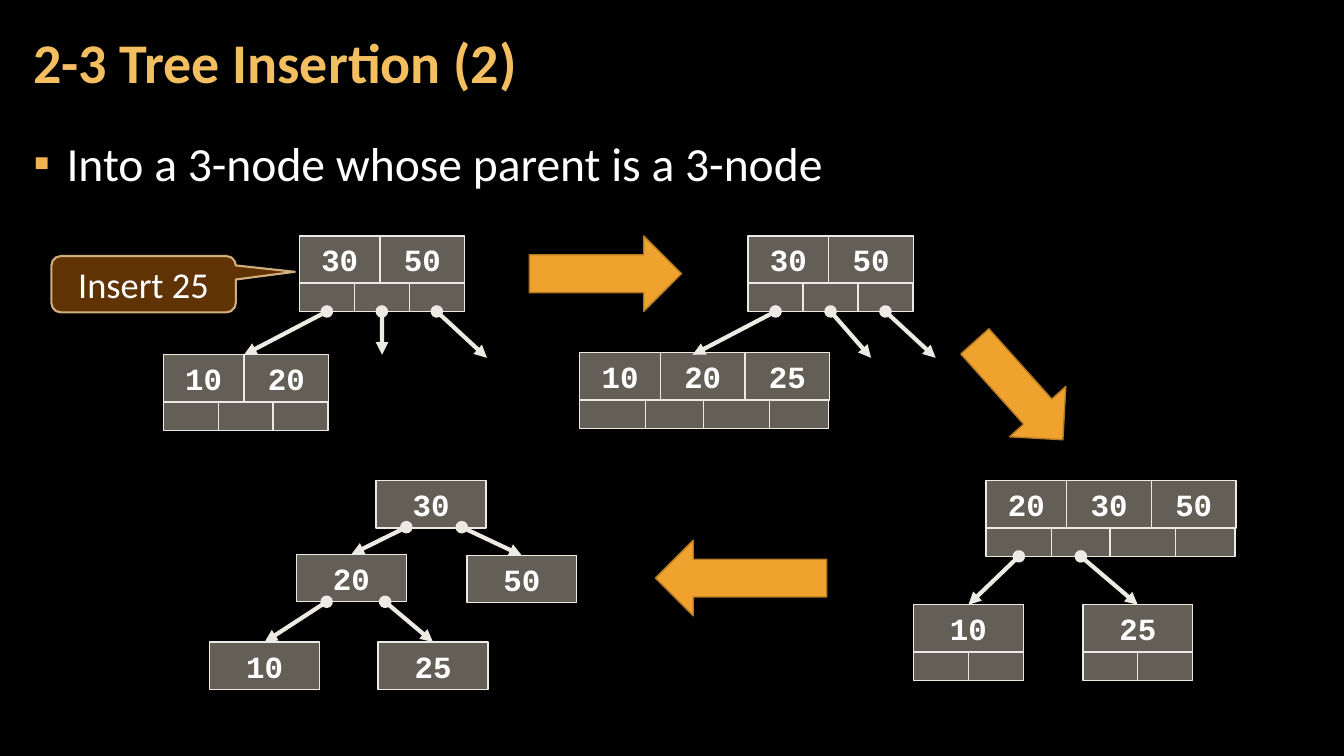
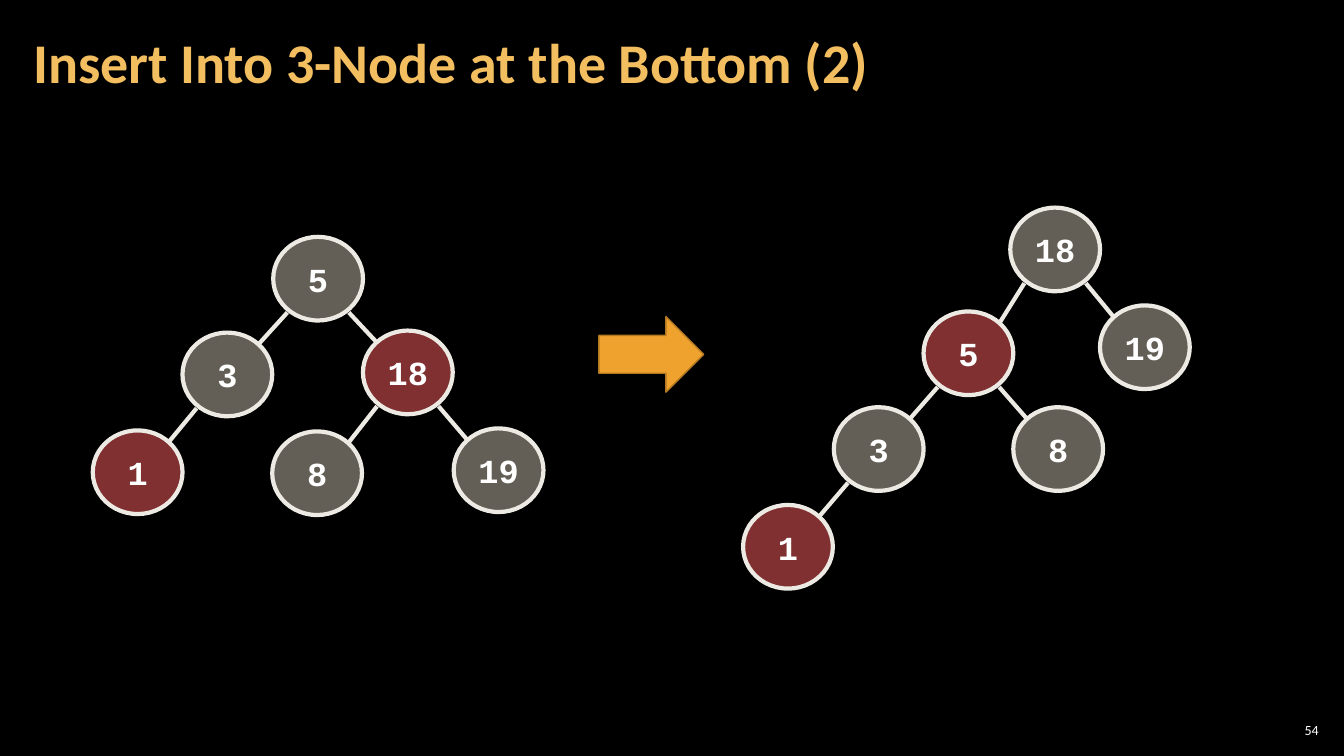
from dataclasses import dataclass
from itertools import accumulate
from typing import NamedTuple

from lxml import etree
from pptx import Presentation
from pptx.dml.color import RGBColor
from pptx.enum.shapes import MSO_CONNECTOR, MSO_SHAPE
from pptx.enum.text import MSO_ANCHOR, MSO_AUTO_SIZE, PP_ALIGN
from pptx.oxml.ns import qn
from pptx.util import Inches, Pt

STRAIGHT = MSO_CONNECTOR.STRAIGHT
RECTANGLE, ELLIPSE = MSO_SHAPE.RECTANGLE, MSO_SHAPE.OVAL
RIGHT_ARROW, CALLOUT = MSO_SHAPE.RIGHT_ARROW, MSO_SHAPE.ROUNDED_RECTANGULAR_CALLOUT
MIDDLE, TOP = MSO_ANCHOR.MIDDLE, MSO_ANCHOR.TOP
LEFT, CENTER, RIGHT = PP_ALIGN.LEFT, PP_ALIGN.CENTER, PP_ALIGN.RIGHT
TOP_SIDE, BOTTOM_SIDE = 0, 2


@dataclass(frozen=True)
class Theme:
    background: str = "000000"
    text: str = "FFFFFF"
    title: str = "F3BE60"
    bullet: str = "F2B254"
    node: str = "C7BFAC"
    red_node: str = "FF6161"
    outline: str = "ECEAE3"
    arrow: str = "F0A22E"
    arrow_line: str = "B27822"
    callout: str = "663606"
    callout_line: str = "F8D49E"
    font: str = "Calibri"
    key_font: str = "Courier New"
    title_size: int = 40
    body_size: int = 34
    callout_size: int = 26
    circle_size: int = 24
    key_size: int = 22
    number_size: int = 10


THEME = Theme()


class Point(NamedTuple):
    x: float
    y: float


class Area(NamedTuple):
    left: float
    top: float
    width: float
    height: float


class TreeNode(NamedTuple):
    left: float
    top: float
    keys: tuple[str, ...]
    has_links: bool = True


class Pointer(NamedTuple):
    """start is a (node, link) pair or a point; end is a node or a point."""
    start: tuple[str, int] | Point
    end: str | Point


class BlockArrow(NamedTuple):
    area: Area
    rotation: float = 0


class Circle(NamedTuple):
    left: float
    top: float
    key: str
    parent: str = ""
    is_red: bool = False


TITLE_AREA = Area(0.21, 0.04, 10.47, 1.21)
BODY_AREA = Area(0.21, 1.26, 12.91, 6.09)
NUMBER_AREA = Area(12.65, 7.14, 0.47, 0.21)

KEY_HEIGHT, LINK_HEIGHT = 0.47, 0.28
KEY_WIDTHS = {1: (1.09,), 2: (0.8, 0.84), 3: (0.8, 0.84, 0.84)}
LINK_WIDTHS = {1: (0.545,) * 2, 2: (0.545,) * 3, 3: (0.65, 0.58, 0.65, 0.59)}

CIRCLE_WIDTH, CIRCLE_HEIGHT = 0.89, 0.83
EDGE_INSET, EDGE_START, EDGE_END = 0.14, 0.75, 0.12

NODES = {
    "root before": TreeNode(2.97, 2.34, ("30", "50")),
    "leaf before": TreeNode(1.62, 3.52, ("10", "20")),
    "root kept": TreeNode(7.42, 2.34, ("30", "50")),
    "leaf overfull": TreeNode(5.75, 3.5, ("10", "20", "25")),
    "root overfull": TreeNode(9.78, 4.77, ("20", "30", "50")),
    "split left": TreeNode(9.06, 6, ("10",)),
    "split right": TreeNode(10.74, 6, ("25",)),
    "new root": TreeNode(3.73, 4.77, ("30",), False),
    "new left": TreeNode(2.94, 5.5, ("20",), False),
    "new right": TreeNode(4.63, 5.51, ("50",), False),
    "new leaf left": TreeNode(2.08, 6.37, ("10",), False),
    "new leaf right": TreeNode(3.75, 6.37, ("25",), False),
}
POINTERS = (
    Pointer(("root before", 0), Point(2.42, 3.52)),
    Pointer(("root before", 1), Point(3.79, 3.52)),
    Pointer(("root before", 2), Point(4.83, 3.55)),
    Pointer(("root kept", 0), Point(6.87, 3.52)),
    Pointer(("root kept", 1), Point(8.64, 3.55)),
    Pointer(("root kept", 2), Point(9.28, 3.55)),
    Pointer(("root overfull", 0), "split left"),
    Pointer(("root overfull", 1), "split right"),
    Pointer(Point(4.03, 5.23), "new left"),
    Pointer(Point(4.58, 5.23), "new right"),
    Pointer(Point(3.24, 5.97), "new leaf left"),
    Pointer(Point(3.82, 5.97), "new leaf right"),
)
INSERTION_ARROWS = (
    BlockArrow(Area(5.25, 2.34, 1.51, 0.75)),
    BlockArrow(Area(9.45, 3.5, 1.31, 0.75), 48.2),
    BlockArrow(Area(6.5, 5.36, 1.7, 0.75), 180),
)
ROTATION_ARROW = BlockArrow(Area(5.94, 3.14, 1.04, 0.75))
TREE_BEFORE = (
    Circle(2.71, 2.35, "5"),
    Circle(1.81, 3.3, "3", "5"),
    Circle(3.6, 3.28, "18", "5", True),
    Circle(0.92, 4.27, "1", "3", True),
    Circle(2.7, 4.28, "8", "18"),
    Circle(4.5, 4.25, "19", "18"),
)
TREE_AFTER = (
    Circle(10.02, 2.06, "18"),
    Circle(9.16, 3.09, "5", "18", True),
    Circle(10.91, 3.03, "19", "18"),
    Circle(8.27, 4.04, "3", "5"),
    Circle(10.05, 4.04, "8", "5"),
    Circle(7.37, 5.01, "1", "3", True),
)


def rgb(color: str) -> RGBColor:
    return RGBColor.from_string(color)


def emu(area: Area) -> list[int]:
    return [Inches(length) for length in area]


def set_opacity(shape, fill: str, percent: int) -> None:
    """Make the solid fill found at the given place in the shape see-through."""
    for color in shape._element.spPr.xpath(f"./{fill}/a:srgbClr"):
        etree.SubElement(color, qn("a:alpha")).set("val", str(percent * 1000))


def write(shape, text: str, size: int, color: str = THEME.text, font: str = THEME.font,
          bold: bool = False, align=CENTER, anchor=MIDDLE):
    frame = shape.text_frame
    frame.text = text
    frame.vertical_anchor = anchor
    paragraph = frame.paragraphs[0]
    paragraph.alignment = align
    paragraph.font.name = font
    paragraph.font.size = Pt(size)
    paragraph.font.bold = bold
    paragraph.font.color.rgb = rgb(color)
    return paragraph


def set_frame(shape, side: float, wrap: bool = True) -> None:
    frame = shape.text_frame
    frame.word_wrap = wrap
    frame.auto_size = MSO_AUTO_SIZE.NONE
    frame.margin_left = frame.margin_right = Inches(side)
    frame.margin_top = frame.margin_bottom = Inches(0.04)


def place(shape, area: Area) -> None:
    shape.left, shape.top, shape.width, shape.height = emu(area)
    set_frame(shape, 0.12)


def add_page(deck, layout: int, title: str):
    page = deck.slides.add_slide(deck.slide_layouts[layout])
    place(page.shapes.title, TITLE_AREA)
    paragraph = write(page.shapes.title, title, THEME.title_size, THEME.title,
                      bold=True, align=LEFT)
    paragraph.line_spacing = 0.9
    return page


def add_bullet(page, text: str) -> None:
    body = page.placeholders[1]
    place(body, BODY_AREA)
    paragraph = write(body, text, THEME.body_size, align=LEFT, anchor=TOP)
    paragraph.line_spacing = 1.05
    paragraph.space_before = paragraph.space_after = Pt(6)
    properties = paragraph._p.get_or_add_pPr()
    properties.set("marL", str(Inches(0.33)))
    properties.set("indent", str(-Inches(0.33)))
    color = etree.Element(qn("a:buClr"))
    etree.SubElement(color, qn("a:srgbClr")).set("val", THEME.bullet)
    mark = etree.Element(qn("a:buChar"))
    mark.set("char", "▪")
    defaults = properties.find(qn("a:defRPr"))
    defaults.addprevious(color)
    defaults.addprevious(mark)


def add_filled(page, kind, area: Area, fill: str, line: str, width: float):
    shape = page.shapes.add_shape(kind, *emu(area))
    shape.shadow.inherit = False
    shape.fill.solid()
    shape.fill.fore_color.rgb = rgb(fill)
    shape.line.color.rgb = rgb(line)
    shape.line.width = Pt(width)
    return shape


def add_line(page, start: Point, end: Point, has_ends: bool = False):
    line = page.shapes.add_connector(STRAIGHT, *emu((*start, *end)))
    line.line.color.rgb = rgb(THEME.outline)
    line.line.width = Pt(3)
    properties = line._element.spPr
    if has_ends:
        for tag, kind in (("a:headEnd", "oval"), ("a:tailEnd", "triangle")):
            etree.SubElement(properties.find(qn("a:ln")), qn(tag)).set("type", kind)
    etree.SubElement(properties, qn("a:effectLst"))
    return line


def add_block_arrow(page, arrow: BlockArrow) -> None:
    shape = add_filled(page, RIGHT_ARROW, arrow.area, THEME.arrow, THEME.arrow_line, 1)
    shape.rotation = arrow.rotation


def add_row(page, left: float, top: float, widths: tuple[float, ...], height: float) -> list:
    boxes = []
    for x, width in zip(accumulate(widths, initial=left), widths):
        area = Area(x, top, width, height)
        box = add_filled(page, RECTANGLE, area, THEME.node, THEME.outline, 1)
        set_opacity(box, "a:solidFill", 50)
        boxes.append(box)
    return boxes


def add_node(page, node: TreeNode) -> tuple[list, list]:
    """Draw the keys and the links below them, and return both rows of boxes."""
    count = len(node.keys)
    keys = add_row(page, node.left, node.top, KEY_WIDTHS[count], KEY_HEIGHT)
    for box, key in zip(keys, node.keys):
        write(box, key, THEME.key_size, font=THEME.key_font, bold=True)
    widths = LINK_WIDTHS[count] if node.has_links else ()
    return keys, add_row(page, node.left, node.top + KEY_HEIGHT, widths, LINK_HEIGHT)


def add_pointer(page, pointer: Pointer, drawn: dict[str, tuple[list, list]]) -> None:
    start, end = pointer
    origin = Point(0, 0)
    line = add_line(page, start if isinstance(start, Point) else origin,
                    end if isinstance(end, Point) else origin, has_ends=True)
    if not isinstance(start, Point):
        name, link = start
        line.begin_connect(drawn[name][1][link], BOTTOM_SIDE)
    if not isinstance(end, Point):
        line.end_connect(drawn[end][0][0], TOP_SIDE)


def add_callout(page, text: str) -> None:
    area = Area(0.51, 2.54, 1.83, 0.56)
    callout = add_filled(page, CALLOUT, area, THEME.callout, THEME.callout_line, 1.5)
    for index, value in enumerate((0.82, -0.22, 0.17)):
        callout.adjustments[index] = value
    set_opacity(callout, "a:solidFill", 95)
    set_opacity(callout, "a:ln/a:solidFill", 80)
    write(callout, text, THEME.callout_size)


def add_circle_tree(page, circles: tuple[Circle, ...]) -> None:
    by_key = {circle.key: circle for circle in circles}
    for circle in circles:
        area = Area(circle.left, circle.top, CIRCLE_WIDTH, CIRCLE_HEIGHT)
        fill = THEME.red_node if circle.is_red else THEME.node
        shape = add_filled(page, ELLIPSE, area, fill, THEME.outline, 3)
        set_opacity(shape, "a:solidFill", 50)
        set_frame(shape, 0.1, wrap=False)
        write(shape, circle.key, THEME.circle_size, font=THEME.key_font, bold=True)
        if circle.parent:
            parent = by_key[circle.parent]
            near, far = EDGE_INSET, CIRCLE_WIDTH - EDGE_INSET
            if circle.left > parent.left:
                near, far = far, near
            add_line(page, Point(parent.left + near, parent.top + EDGE_START),
                     Point(circle.left + far, circle.top + EDGE_END))


def add_page_number(page, number: str) -> None:
    box = page.shapes.add_textbox(*emu(NUMBER_AREA))
    set_frame(box, 0.04)
    write(box, number, THEME.number_size, align=RIGHT)


def build_insertion(deck) -> None:
    page = add_page(deck, 1, "2-3 Tree Insertion (2)")
    add_bullet(page, "Into a 3-node whose parent is a 3-node")
    drawn = {name: add_node(page, node) for name, node in NODES.items()}
    for pointer in POINTERS:
        add_pointer(page, pointer, drawn)
    add_callout(page, "Insert 25")
    for arrow in INSERTION_ARROWS:
        add_block_arrow(page, arrow)


def build_rotation(deck) -> None:
    page = add_page(deck, 5, "Insert Into 3-Node at the Bottom (2)")
    add_page_number(page, "54")
    add_block_arrow(page, ROTATION_ARROW)
    for tree in (TREE_BEFORE, TREE_AFTER):
        add_circle_tree(page, tree)


def main() -> None:
    deck = Presentation()
    deck.slide_width, deck.slide_height = Inches(13.33), Inches(7.5)
    background = deck.slide_master.background.fill
    background.solid()
    background.fore_color.rgb = rgb(THEME.background)
    build_insertion(deck)
    build_rotation(deck)
    deck.save("out.pptx")


if __name__ == "__main__":
    main()
